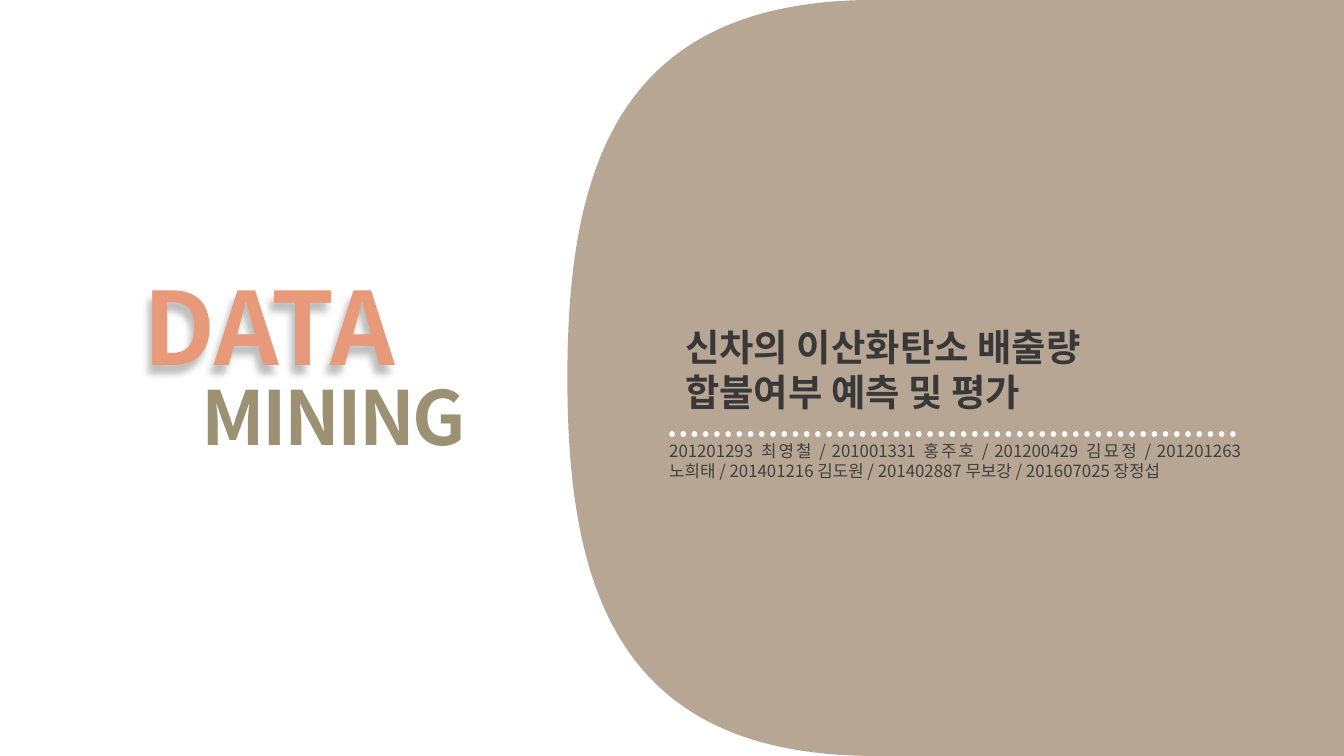
import pptx
import pptx.util
import pptx.dml.color
import pptx.enum.dml
import pptx.enum.shapes
import pptx.enum.text
import pptx.oxml
import pptx.oxml.ns

Pt = pptx.util.Pt
RGBColor = pptx.dml.color.RGBColor
ALIGN = pptx.enum.text.PP_ALIGN
qn = pptx.oxml.ns.qn
NS = pptx.oxml.ns.nsdecls("a")

FONT = "Noto Sans CJK KR"
WIDTH, HEIGHT = 720, 405
CORAL = RGBColor(0xE8, 0x99, 0x7A)
OLIVE = RGBColor(0x9C, 0x91, 0x72)
BROWN = RGBColor(0x92, 0x77, 0x5C)
CHARCOAL = RGBColor(0x38, 0x38, 0x38)
GRAY = RGBColor(0x40, 0x40, 0x40)
WHITE = RGBColor(0xFF, 0xFF, 0xFF)

TITLE = ["신차의 이산화탄소 배출량", "합불여부 예측 및 평가"]
MEMBERS = [
    "201201293 최영철", "201001331 홍주호", "201200429 김묘정",
    "201201263 노희태", "201401216 김도원", "201402887 무보강",
    "201607025 장정섭",
]


def add_text(page, lines, left, top, width, height, *, size, color,
             bold=False, align=ALIGN.LEFT, spacing=None):
    box = page.shapes.add_textbox(Pt(left), Pt(top), Pt(width), Pt(height))
    frame = box.text_frame
    frame.word_wrap = True
    frame.auto_size = pptx.enum.text.MSO_AUTO_SIZE.SHAPE_TO_FIT_TEXT
    for index, line in enumerate(lines):
        para = frame.paragraphs[0] if index == 0 else frame.add_paragraph()
        para.alignment = align
        span = para.add_run()
        span.text = line
        span.font.name = FONT
        span.font.size = Pt(size)
        span.font.bold = bold
        span.font.color.rgb = color
        properties = span.font._element
        properties.find(qn("a:latin")).addnext(
            pptx.oxml.parse_xml(f'<a:ea {NS} typeface="{FONT}"/>'))
        if spacing is not None:
            properties.set("spc", str(round(spacing * 100)))
    return box


def add_soft_shadow(box):
    box._element.spPr.append(pptx.oxml.parse_xml(
        f'<a:effectLst {NS}><a:outerShdw blurRad="{Pt(4)}" dist="{Pt(5)}" '
        'dir="7200000" algn="tr" rotWithShape="0"><a:srgbClr val="000000">'
        '<a:alpha val="25000"/></a:srgbClr></a:outerShdw></a:effectLst>'))


def curve_points(start, control_a, control_b, end, steps=60):
    """Points along a cubic curve, without its start."""
    for step in range(1, steps + 1):
        t = step / steps
        weights = ((1 - t) ** 3, 3 * t * (1 - t) ** 2, 3 * t * t * (1 - t), t ** 3)
        yield tuple(
            sum(weight * point[axis] for weight, point in
                zip(weights, (start, control_a, control_b, end)))
            for axis in (0, 1))


def add_panel(page):
    """Translucent right panel with a rounded left side."""
    edge, shoulder, control = 304, 468.5, 330.5
    middle = HEIGHT / 2
    upper = list(curve_points((shoulder, 0), (control, 0),
                              (edge, 90.5), (edge, middle)))
    lower = [(x, HEIGHT - y) for x, y in reversed(upper[:-1])]
    outline = [(shoulder, 0), *upper, *lower, (shoulder, HEIGHT), (WIDTH, HEIGHT)]
    builder = page.shapes.build_freeform(Pt(WIDTH), 0, scale=1.0)
    builder.add_line_segments([(Pt(x), Pt(y)) for x, y in outline], close=True)
    panel = builder.convert_to_shape()
    panel.shadow.inherit = False
    panel.fill.solid()
    panel.fill.fore_color.rgb = BROWN
    panel.line.fill.background()
    fill_color = panel._element.spPr.find(qn("a:solidFill"))[0]
    fill_color.append(pptx.oxml.parse_xml(f'<a:alpha {NS} val="65000"/>'))


def add_dotted_line(page, left, right, y):
    line = page.shapes.add_connector(
        pptx.enum.shapes.MSO_CONNECTOR.STRAIGHT, Pt(left), Pt(y), Pt(right), Pt(y))
    line.line.color.rgb = WHITE
    line.line.width = Pt(3)
    line.line.dash_style = pptx.enum.dml.MSO_LINE.ROUND_DOT
    line._element.spPr.find(qn("a:ln")).set("cap", "rnd")
    line._element.spPr.append(pptx.oxml.parse_xml(f"<a:effectLst {NS}/>"))


def main():
    deck = pptx.Presentation()
    deck.slide_width, deck.slide_height = Pt(WIDTH), Pt(HEIGHT)
    page = deck.slides.add_slide(deck.slide_layouts[6])

    # Course name
    heading = add_text(page, ["DATA"], 48.2, 138.2, 192.2, 72.7, size=54,
                       color=CORAL, bold=True, align=ALIGN.CENTER)
    add_soft_shadow(heading)
    add_text(page, ["MINING"], 82.8, 195.1, 192.2, 55.4, size=40,
             color=OLIVE, bold=True, align=ALIGN.CENTER, spacing=-1.5)

    # Project title and team
    add_panel(page)
    add_text(page, TITLE, 360, 170, 330, 55.4, size=20, color=CHARCOAL, bold=True)
    add_dotted_line(page, 360, 662, 232.6)
    add_text(page, [" / ".join(MEMBERS)], 351.4, 232.6, 320.4, 28.8, size=9,
             color=GRAY, align=ALIGN.JUSTIFY)

    deck.save("out.pptx")


main()
